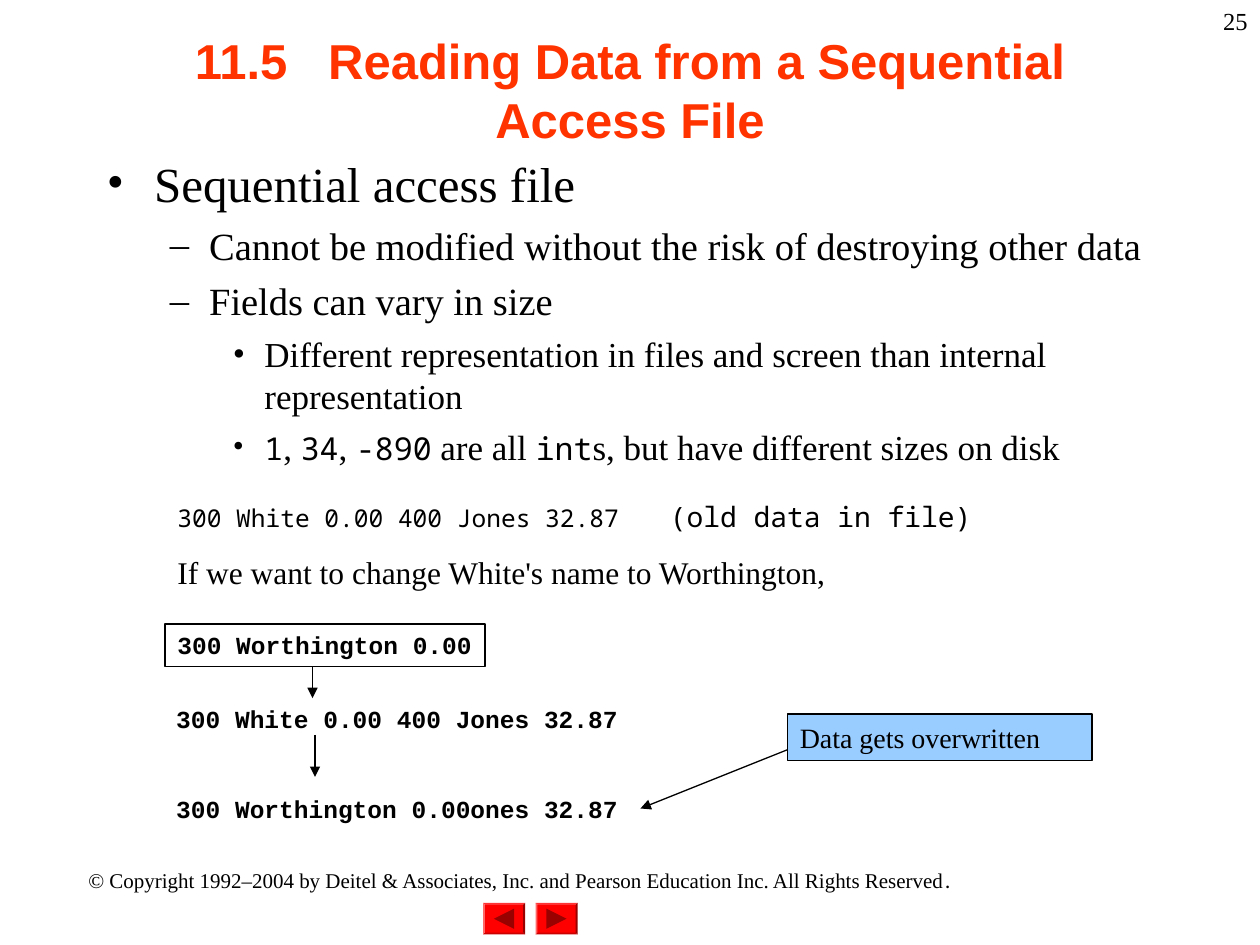
from lxml import etree
from pptx import Presentation
from pptx.dml.color import RGBColor
from pptx.enum.shapes import MSO_CONNECTOR, MSO_SHAPE
from pptx.enum.text import MSO_ANCHOR, PP_ALIGN
from pptx.oxml.ns import qn
from pptx.util import Pt

LEFT, CENTER, RIGHT = PP_ALIGN.LEFT, PP_ALIGN.CENTER, PP_ALIGN.RIGHT
TOP, MIDDLE = MSO_ANCHOR.TOP, MSO_ANCHOR.MIDDLE
STRAIGHT = MSO_CONNECTOR.STRAIGHT
RECT, BEVEL, ARROW = MSO_SHAPE.RECTANGLE, MSO_SHAPE.BEVEL, MSO_SHAPE.ISOSCELES_TRIANGLE

COLORS = {"ink": "000000", "title": "FF3300", "paper": "FFFFFF",
          "note": "99CCFF", "button": "FF0000", "arrow": "990000"}
SERIF, SANS, MONO, CODE = "Times New Roman", "Arial", "Noto Sans Mono", "Courier New"

# A run is (text, size, font), with the extra width of a gap as an optional fourth part.
TITLE = [("11.5", 28, SANS), (" ", 28, SANS, 15.56),
         ("Reading Data from a Sequential Access File", 28, SANS)]
BODY = [
    (0, [("Sequential access file", 28, SERIF)]),
    (1, [("Cannot be modified without the risk of destroying other data", 22, SERIF)]),
    (1, [("Fields can vary in size", 22, SERIF)]),
    (2, [("Different representation in files and screen than internal representation",
          20, SERIF)]),
    (2, [("1", 18, MONO), (", ", 20, SERIF), ("34", 18, MONO), (", ", 20, SERIF),
         ("-890", 18, MONO), (" are all ", 20, SERIF), ("int", 18, MONO),
         ("s, but have different sizes on disk", 20, SERIF)]),
]
LEVELS = [("•", 27, 27, 7), ("–", 58.5, 22.5, 5.5), ("•", 90, 18, 5)]  # mark, indent, hang, space
OLD = [("300 White 0.00 400 Jones 32.87", 14, MONO), (" ", 16, MONO, 19.2),
       ("(old data in file)", 16, MONO)]
CHANGE = [("If we want to change White's name to Worthington,", 18, SERIF)]
RECORDS = [("300 White 0.00 400 Jones 32.87", 398.9),
           ("300 Worthington 0.00ones 32.87", 450)]
NEW = [("300 Worthington 0.00", 14, CODE)]
NEW_AREA = (94.3, 356.6, 182.9, 24.4)
NOTE = [("Data gets overwritten", 16, SERIF)]
NOTE_AREA = (450, 408, 174, 26.6)
NEW_FOOT = NEW_AREA[1] + NEW_AREA[3]
ARROWS = [(178.6, NEW_FOOT, 178.6, 398.9), (180, 420, 180, 444),
          (NOTE_AREA[0], 428.4, 366, 462)]
BUTTONS = [(276, -90), (306, 90)]  # left edge, turn of the arrow


def rgb(name):
    return RGBColor.from_string(COLORS[name])


def write(para, runs, color="ink", bold=False, align=LEFT):
    para.alignment = align
    for text, size, face, *gap in runs:
        run = para.add_run()
        run.text = text
        font = run.font
        font.size, font.name, font.bold = Pt(size), face, bold
        font.color.rgb = rgb(color)
        if gap:
            font._element.set("spc", str(round(gap[0] * 100)))


def paint(shape, fill, line=None):
    shape.shadow.inherit = False
    shape.fill.solid()
    shape.fill.fore_color.rgb = rgb(fill)
    if line:
        shape.line.color.rgb = rgb(line)
        shape.line.width = Pt(0.75)
    else:
        shape.line.fill.background()


def frame(shape, wrap=True, anchor=TOP):
    text = shape.text_frame
    text.word_wrap, text.vertical_anchor = wrap, anchor
    return text


def box(slide, area, runs, wrap=True, anchor=TOP, **style):
    text = frame(slide.shapes.add_textbox(*map(Pt, area)), wrap, anchor)
    write(text.paragraphs[0], runs, **style)
    return text


def panel(slide, area, runs, fill, **style):
    shape = slide.shapes.add_shape(RECT, *map(Pt, area))
    paint(shape, fill, "ink")
    write(frame(shape).paragraphs[0], runs, **style)


def outline(slide, area):
    text = frame(slide.shapes.add_textbox(*map(Pt, area)))
    for i, (level, runs) in enumerate(BODY):
        para = text.paragraphs[0] if i == 0 else text.add_paragraph()
        mark, indent, hang, space = LEVELS[level]
        para.level = level
        if i:
            para.space_before = Pt(space)
        props = para._p.get_or_add_pPr()
        props.set("marL", str(Pt(indent)))
        props.set("indent", str(-Pt(hang)))
        etree.SubElement(props, qn("a:buFont")).set("typeface", SERIF)
        etree.SubElement(props, qn("a:buChar")).set("char", mark)
        write(para, runs)


def arrow(slide, ends):
    line = slide.shapes.add_connector(STRAIGHT, *map(Pt, ends))
    line.line.color.rgb = rgb("ink")
    line.line.width = Pt(0.75)
    etree.SubElement(line.line._get_or_add_ln(), qn("a:tailEnd")).set("type", "triangle")
    etree.SubElement(line._element.spPr, qn("a:effectLst"))


def button(slide, left, turn):
    wide, high, side, top = 24, 18, 11.5, 516
    face = slide.shapes.add_shape(BEVEL, Pt(left), Pt(top), Pt(wide), Pt(high))
    face.adjustments[0] = 0.06
    paint(face, "button")
    tip = slide.shapes.add_shape(ARROW, Pt(left + (wide - side) / 2),
                                 Pt(top + (high - side) / 2), Pt(side), Pt(side))
    tip.rotation = turn
    paint(tip, "arrow")


def main():
    deck = Presentation()
    deck.slide_width, deck.slide_height = Pt(720), Pt(540)
    slide = deck.slides.add_slide(deck.slide_layouts[6])
    for left, turn in BUTTONS:
        button(slide, left, turn)
    box(slide, (36, 492, 522, 21.6), LEGAL, align=CENTER)
    box(slide, (54, 6, 612, 90), TITLE, anchor=MIDDLE, color="title", bold=True, align=CENTER)
    outline(slide, (54, 84, 612, 426))
    change = box(slide, (94.3, 282, 504, 60), OLD).add_paragraph()
    change.space_before = Pt(11.2)
    write(change, CHANGE)
    for text, top in RECORDS:
        box(slide, (93.6, top, 267, 24.5), [(text, 14, CODE)], wrap=False, bold=True)
    for ends in ARROWS:
        arrow(slide, ends)
    panel(slide, NEW_AREA, NEW, "paper", bold=True)
    panel(slide, NOTE_AREA, NOTE, "note")
    box(slide, (570, 0, 150, 36), [("25", 14, SERIF)], align=RIGHT)
    deck.save("out.pptx")


LEGAL = [("© Copyright 1992–2004 by Deitel & Associates, Inc. and Pearson Education Inc. "
          "All Rights Reserved", 12, SERIF), (".", 12, "League Spartan")]

if __name__ == "__main__":
    main()
